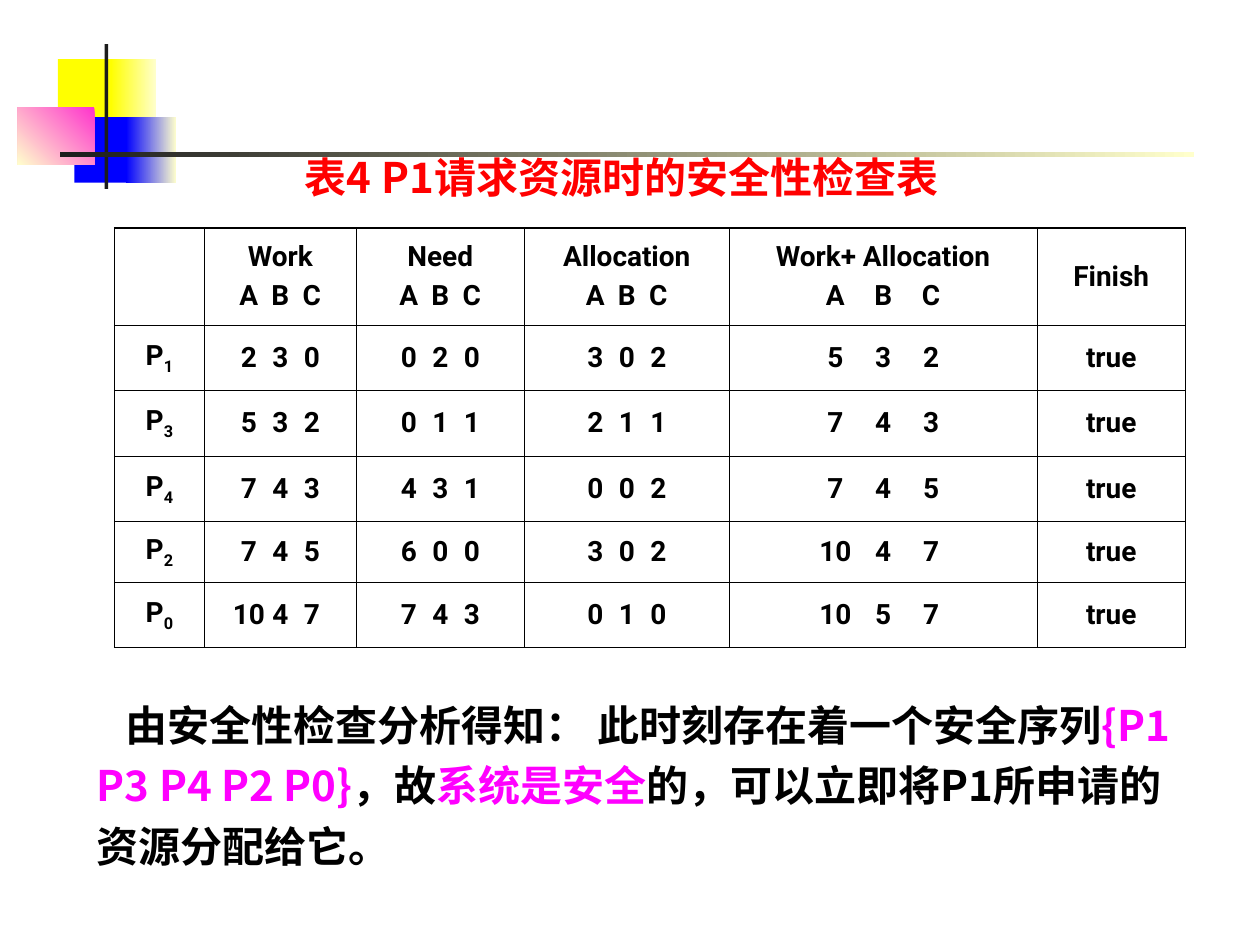
from lxml.etree import SubElement
from pptx import Presentation
from pptx.dml.color import RGBColor
from pptx.enum.shapes import MSO_SHAPE
from pptx.enum.text import MSO_ANCHOR, MSO_AUTO_SIZE, PP_ALIGN
from pptx.oxml.ns import qn
from pptx.util import Inches, Pt

CJK, LATIN = "Noto Sans CJK SC", "Roboto"
BLACK, RED, MAGENTA, CREAM = "000000", "FF0000", "FF00FF", "FFFFCC"
INSET = 0.1
NARROW, WIDE = 0.25, 0.38

COLS = [0.71, 1.21, 1.33, 1.63, 2.44, 1.18]
ROWS = [0.77, 0.52, 0.52, 0.52, 0.48, 0.52]
PITCHES = [None, NARROW, NARROW, NARROW, WIDE, None]
HEADERS = ["", "Work", "Need", "Allocation", "Work+ Allocation", "Finish"]
CHECKS = [
    ("1", "2 3 0", "0 2 0", "3 0 2", "5 3 2"),
    ("3", "5 3 2", "0 1 1", "2 1 1", "7 4 3"),
    ("4", "7 4 3", "4 3 1", "0 0 2", "7 4 5"),
    ("2", "7 4 5", "6 0 0", "3 0 2", "10 4 7"),
    ("0", "10 4 7", "7 4 3", "0 1 0", "10 5 7"),
]
CONCLUSION = [
    ("由安全性检查分析得知： 此时刻存在着一个安全序列", BLACK),
    ("{P1 P3 P4 P2 P0}", MAGENTA),
    ("，故", BLACK),
    ("系统是安全", MAGENTA),
    ("的，可以立即将P1所申请的资源分配给它。", BLACK),
]


def rgb(color):
    """Turn a hex string into a colour."""
    return RGBColor.from_string(color)


def add_run(p, text, size, font, color=BLACK):
    """Add one bold run to a paragraph."""
    r = p.add_run()
    r.text = text
    r.font.size, r.font.bold, r.font.name = Pt(size), True, font
    r.font.color.rgb = rgb(color)
    SubElement(r._r.get_or_add_rPr(), qn("a:ea"), typeface=font)
    return r


def add_block(slide, x, y, w, h, start, end=None, angle=180):
    """Add a plain or gradient rectangle without outline."""
    sp = slide.shapes.add_shape(
        MSO_SHAPE.RECTANGLE, Inches(x), Inches(y), Inches(w), Inches(h))
    sp.shadow.inherit = False
    sp.line.fill.background()
    if end is None:
        sp.fill.solid()
        sp.fill.fore_color.rgb = rgb(start)
        return
    sp.fill.gradient()
    sp.fill.gradient_angle = angle
    for stop, color, position in zip(sp.fill.gradient_stops, (start, end), (0, 1)):
        stop.color.rgb = rgb(color)
        stop.position = position


def add_ornament(slide, x, y):
    """Draw the coloured squares and the crossing bars from a top left corner."""
    add_block(slide, x + 0.32, y + 0.12, 0.48, 0.52, "FFFF00")
    add_block(slide, x + 0.74, y + 0.12, 0.36, 0.52, CREAM, "FFFF00")
    add_block(slide, x + 0.45, y + 0.58, 0.46, 0.52, "0000FF")
    add_block(slide, x + 0.86, y + 0.58, 0.4, 0.52, CREAM, "0000FF")
    add_block(slide, x, y + 0.5, 0.61, 0.46, "FF33CC", CREAM, 225)
    add_block(slide, x + 0.69, y, 0.03, 1.15, "1C1C1C")
    add_block(slide, x + 0.34, y + 0.86, 9, 0.04, CREAM, "1C1C1C")


def set_borders(cell, row, col):
    """Rule a cell, with heavier lines on the outer edge of the table."""
    outer = {"L": col == 0, "R": col == len(COLS) - 1,
             "T": row == 0, "B": row == len(ROWS) - 1}
    tc_pr = cell._tc.get_or_add_tcPr()
    for side, heavy in outer.items():
        ln = SubElement(tc_pr, qn("a:ln" + side), w=str(Pt(1.08 if heavy else 0.45)))
        fill = SubElement(ln, qn("a:solidFill"))
        SubElement(fill, qn("a:srgbClr"), val=BLACK)


def add_triple(p, values, width, pitch):
    """Set three values on centred tab stops around the middle of a cell."""
    p.alignment = PP_ALIGN.LEFT
    tabs = SubElement(p._p.get_or_add_pPr(), qn("a:tabLst"))
    for step in (-1, 0, 1):
        pos = Inches(width / 2 - INSET + step * pitch)
        SubElement(tabs, qn("a:tab"), pos=str(pos), algn="ctr")
    add_run(p, "".join("\t" + value for value in values.split()), 16, LATIN)


def fill_cell(cell, row, col):
    """Write the heading or the check result that belongs in a cell."""
    tf = cell.text_frame
    p = tf.paragraphs[0]
    p.alignment = PP_ALIGN.CENTER
    pitch = PITCHES[col]
    if row == 0:
        if HEADERS[col]:
            add_run(p, HEADERS[col], 16, LATIN)
        if pitch:
            p = tf.add_paragraph()
            p.space_before = Pt(4)
            add_triple(p, "A B C", COLS[col], pitch)
    elif col == 0:
        add_run(p, "P", 16, LATIN)
        r = add_run(p, CHECKS[row - 1][0], 16, LATIN)
        r._r.get_or_add_rPr().set("baseline", "-25000")
    elif pitch:
        add_triple(p, CHECKS[row - 1][col], COLS[col], pitch)
    else:
        add_run(p, "true", 16, LATIN)


def add_check_table(slide, x, y):
    """Add the safety check table."""
    table = slide.shapes.add_table(
        len(ROWS), len(COLS), Inches(x), Inches(y),
        Inches(sum(COLS)), Inches(sum(ROWS))).table
    table.first_row = table.horz_banding = False
    for column, width in zip(table.columns, COLS):
        column.width = Inches(width)
    for row, height in enumerate(ROWS):
        table.rows[row].height = Inches(height)
        for col in range(len(COLS)):
            cell = table.cell(row, col)
            cell.vertical_anchor = MSO_ANCHOR.MIDDLE
            set_borders(cell, row, col)
            cell.fill.background()
            fill_cell(cell, row, col)


def place_title(slide, x, y, w, h):
    """Move the title in front of the ornament and write the table caption."""
    title = slide.shapes.title
    slide.shapes._spTree.append(title._element)
    title.left, title.top = Inches(x), Inches(y)
    title.width, title.height = Inches(w), Inches(h)
    tf = title.text_frame
    tf.auto_size = MSO_AUTO_SIZE.NONE
    tf.vertical_anchor = MSO_ANCHOR.TOP
    p = tf.paragraphs[0]
    p.alignment = PP_ALIGN.LEFT
    add_run(p, "表4 P1请求资源时的安全性检查表", 24, CJK, RED)


def add_conclusion(slide, x, y, w, h):
    """Add the closing paragraph with its highlighted phrases."""
    tf = slide.shapes.add_textbox(
        Inches(x), Inches(y), Inches(w), Inches(h)).text_frame
    tf.word_wrap = True
    p = tf.paragraphs[0]
    p.line_spacing = 1.2
    p._p.get_or_add_pPr().set("indent", str(Inches(0.23)))
    for text, color in CONCLUSION:
        add_run(p, text, 24, CJK, color)


def main():
    """Build the slide and save it."""
    prs = Presentation()
    prs.slide_width, prs.slide_height = Inches(10), Inches(7.5)
    slide = prs.slides.add_slide(prs.slide_layouts[5])
    add_ornament(slide, 0.14, 0.35)
    add_check_table(slide, 0.91, 1.81)
    place_title(slide, 2.32, 1.15, 6.28, 0.5)
    add_conclusion(slide, 0.67, 5.42, 8.82, 1.54)
    prs.save("out.pptx")


if __name__ == "__main__":
    main()
